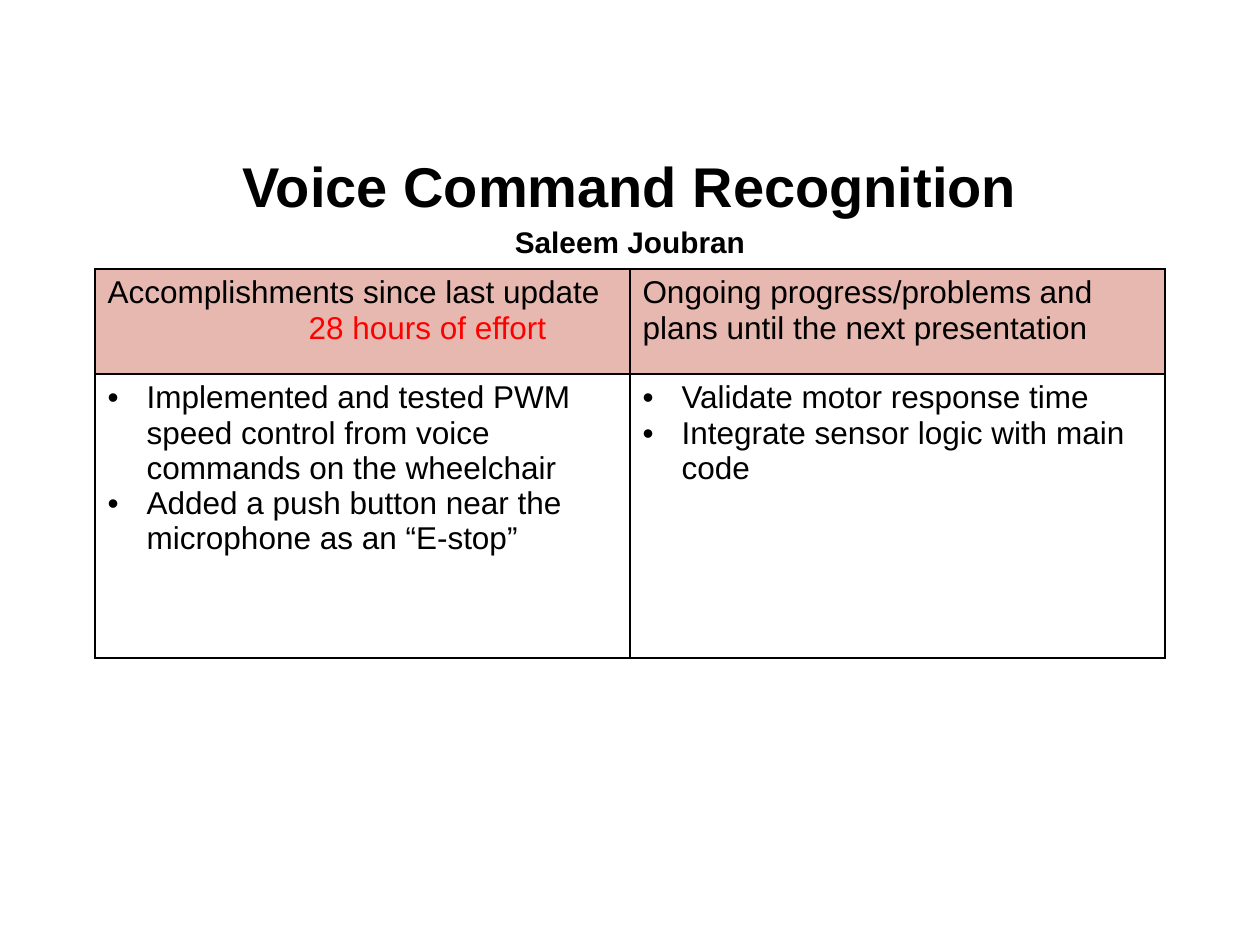
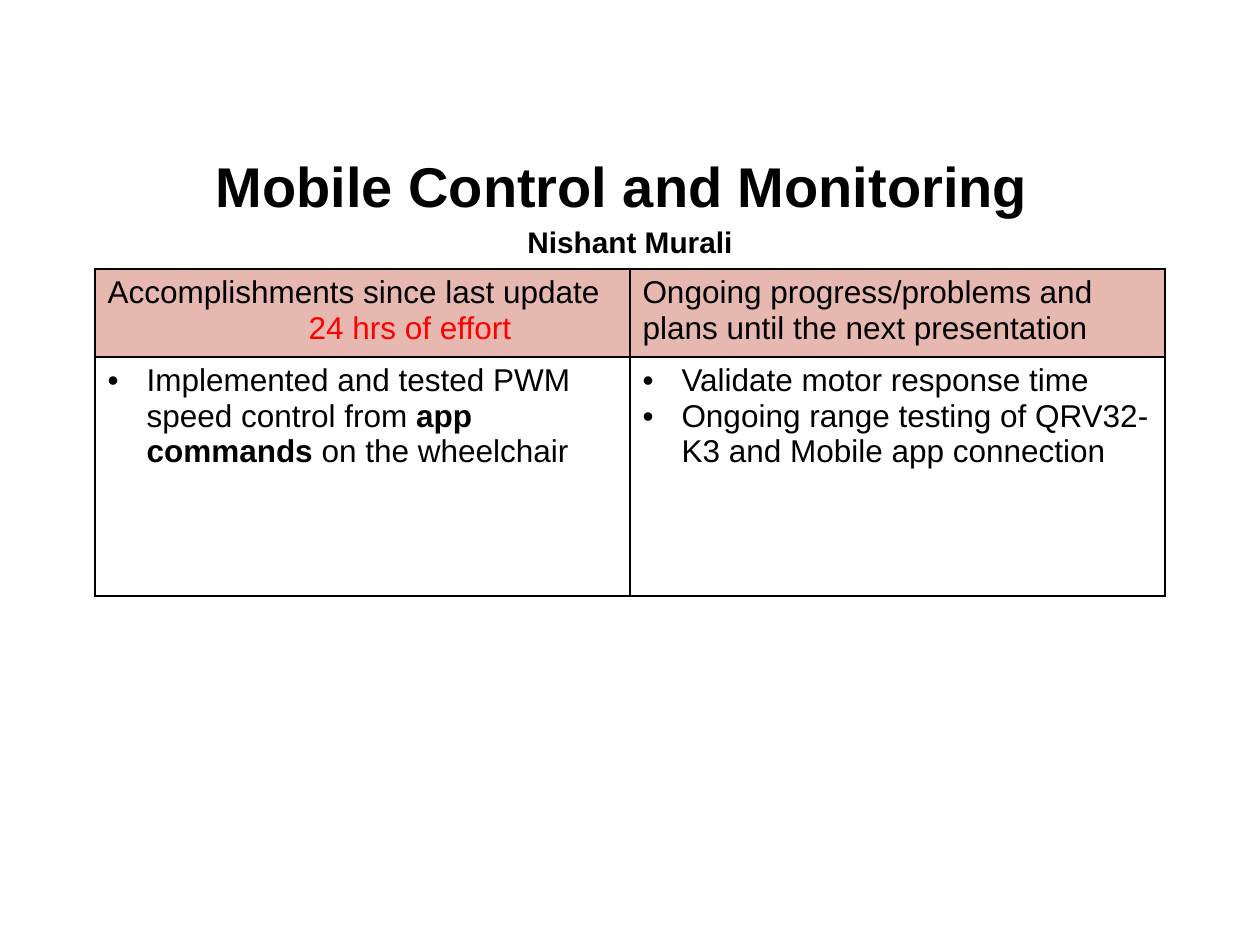
from lxml.etree import SubElement
from pptx import Presentation
from pptx.dml.color import RGBColor
from pptx.enum.text import MSO_ANCHOR, MSO_AUTO_SIZE, PP_ALIGN
from pptx.oxml.ns import qn
from pptx.util import Emu, Pt

FONT = "Arial"
BLACK = "000000"
RED = "FF0000"
HEADER_FILL = "E6B8AF"
TITLE_BOX = (63, 145, 1134, 111)
TABLE_LEFT, TABLE_TOP, COLUMN_WIDTH = 95, 269, 535
EFFORT_INDENT = 201
BULLET_INDENT = 39
DONE_HEADING = "Accomplishments since last update"
PLANS_HEADING = "Ongoing progress/problems and plans until the next presentation"


def px(n):
    return Emu(round(n * 914400 / 126))


def color(value):
    return RGBColor.from_string(value)


def add_run(p, text, size=18, bold=False, fill=BLACK):
    r = p.add_run()
    r.text = text
    r.font.name = FONT
    r.font.size = Pt(size)
    r.font.bold = bold
    r.font.color.rgb = color(fill)


def add_title(s, title, author):
    sp = s.shapes.title
    sp.left, sp.top, sp.width, sp.height = map(px, TITLE_BOX)
    tf = sp.text_frame
    tf.word_wrap = True
    tf.auto_size = MSO_AUTO_SIZE.NONE
    tf.vertical_anchor = MSO_ANCHOR.MIDDLE
    for p, text, size in ((tf.paragraphs[0], title, 32), (tf.add_paragraph(), author, 17)):
        p.alignment = PP_ALIGN.CENTER
        p.line_spacing = 1.15
        add_run(p, text, size, bold=True)


def add_borders(cell):
    tc_pr = cell._tc.get_or_add_tcPr()
    for side in ("lnL", "lnR", "lnT", "lnB"):
        line = SubElement(tc_pr, qn(f"a:{side}"), w=str(Pt(1)))
        fill = SubElement(line, qn("a:solidFill"))
        SubElement(fill, qn("a:srgbClr"), val=BLACK)


def add_bullet(p):
    p_pr = p._p.get_or_add_pPr()
    p_pr.set("marL", str(px(BULLET_INDENT)))
    p_pr.set("indent", str(-px(BULLET_INDENT)))
    bullet_color = SubElement(p_pr, qn("a:buClr"))
    SubElement(bullet_color, qn("a:srgbClr"), val=BLACK)
    SubElement(p_pr, qn("a:buFont"), typeface=FONT)
    SubElement(p_pr, qn("a:buChar"), char="•")


def fill_header(cell, heading, effort=None):
    cell.fill.solid()
    cell.fill.fore_color.rgb = color(HEADER_FILL)
    tf = cell.text_frame
    add_run(tf.paragraphs[0], heading)
    if effort:
        p = tf.add_paragraph()
        p._p.get_or_add_pPr().set("marL", str(px(EFFORT_INDENT)))
        add_run(p, effort, fill=RED)


def fill_list(cell, items):
    cell.fill.background()
    tf = cell.text_frame
    for i, runs in enumerate(items):
        p = tf.add_paragraph() if i else tf.paragraphs[0]
        add_bullet(p)
        for text, bold in runs:
            add_run(p, text, bold=bold)


def add_status_table(s, row_heights, effort, done, plans):
    frame = s.shapes.add_table(2, 2, px(TABLE_LEFT), px(TABLE_TOP),
                               px(2 * COLUMN_WIDTH), px(sum(row_heights)))
    table = frame.table
    table.first_row = False
    table.horz_banding = False
    for column in table.columns:
        column.width = px(COLUMN_WIDTH)
    for row, height in zip(table.rows, row_heights):
        row.height = px(height)
    for cell in table.iter_cells():
        add_borders(cell)
    fill_header(table.cell(0, 0), DONE_HEADING, effort)
    fill_header(table.cell(0, 1), PLANS_HEADING)
    fill_list(table.cell(1, 0), done)
    fill_list(table.cell(1, 1), plans)


def add_status_slide(prs, title, author, row_heights, effort, done, plans):
    s = prs.slides.add_slide(prs.slide_layouts[5])
    add_title(s, title, author)
    add_status_table(s, row_heights, effort, done, plans)


def main():
    prs = Presentation()
    prs.slide_width, prs.slide_height = px(1260), px(945)
    add_status_slide(
        prs, "Voice Command Recognition", "Saleem Joubran", (105, 284),
        "28 hours of effort",
        [[("Implemented and tested PWM speed control from voice commands on the wheelchair", False)],
         [("Added a push button near the microphone as an “E-stop”", False)]],
        [[("Validate motor response time", False)],
         [("Integrate sensor logic with main code", False)]])
    add_status_slide(
        prs, "Mobile Control and Monitoring ", "Nishant Murali", (88, 239),
        "24 hrs of effort",
        [[("Implemented and tested PWM speed control from ", False),
          ("app commands ", True), ("on the wheelchair", False)]],
        [[("Validate motor response time", False)],
         [("Ongoing range testing of QRV32-K3 and Mobile app connection", False)]])
    prs.save("out.pptx")


if __name__ == "__main__":
    main()
